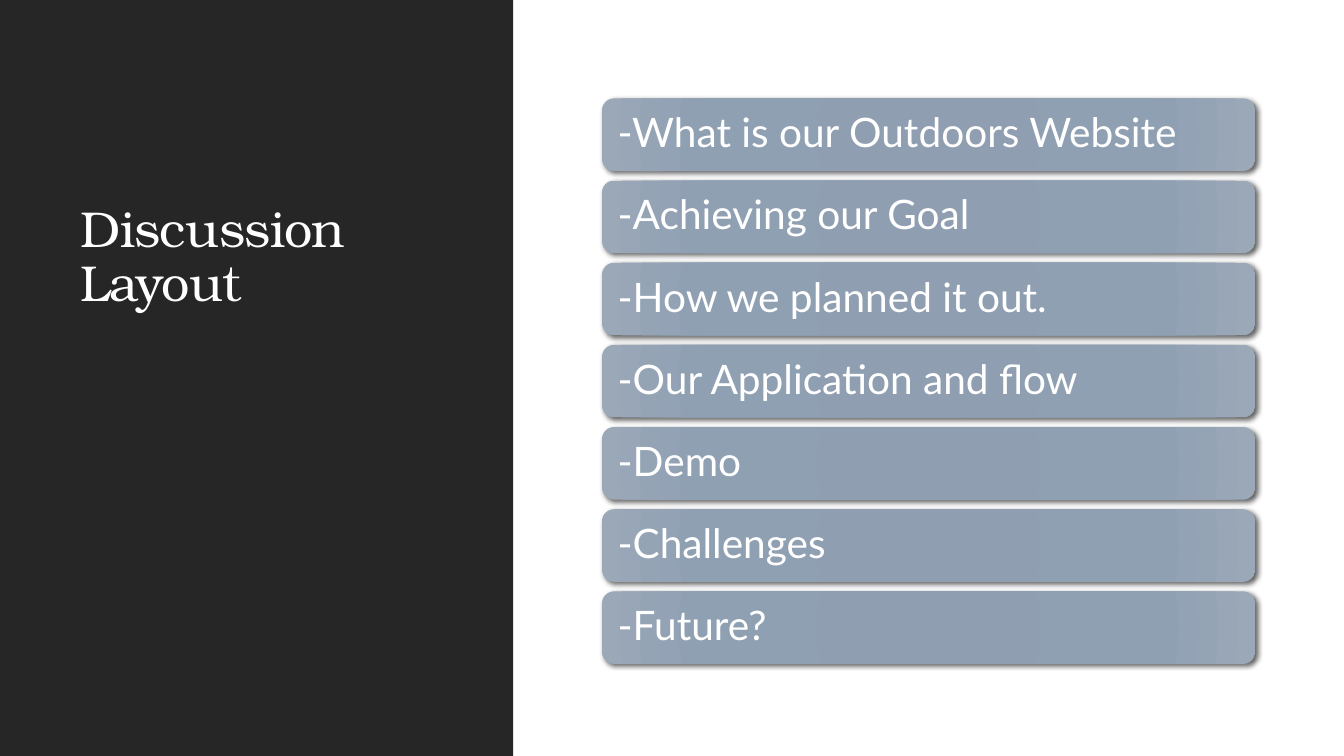
from lxml.etree import SubElement
from pptx import Presentation
from pptx.dml.color import RGBColor
from pptx.enum.shapes import MSO_SHAPE
from pptx.enum.text import MSO_ANCHOR, PP_ALIGN
from pptx.oxml import parse_xml
from pptx.oxml.ns import nsdecls, qn
from pptx.util import Pt

WHITE = RGBColor(0xFF, 0xFF, 0xFF)
CHARCOAL = RGBColor(0x26, 0x26, 0x26)
BLACK = RGBColor(0x00, 0x00, 0x00)
BAR_STOPS = [
    (0, RGBColor(0x8D, 0x9C, 0xAE)),
    (34, RGBColor(0x8F, 0x9E, 0xB0)),
    (70, RGBColor(0x90, 0xA0, 0xB3)),
    (100, RGBColor(0x9A, 0xA8, 0xB8)),
]
TOPICS = [
    "-What is our Outdoors Website",
    "-Achieving our Goal",
    "-How we planned it out.",
    "-Our Application and flow",
    "-Demo",
    "-Challenges",
    "-Future?",
]


def write_text(shape, text, font_name, size):
    frame = shape.text_frame
    frame.word_wrap = True
    frame.text = text
    para = frame.paragraphs[0]
    para.alignment = PP_ALIGN.LEFT
    para.line_spacing = 0.9
    span = para.runs[0]
    span.font.name = font_name
    span.font.size = Pt(size)
    span.font.color.rgb = WHITE
    return span


def fill_radial(shape, stops):
    shape.fill.background()
    stop_list = "".join(
        f'<a:gs pos="{position * 1000}"><a:srgbClr val="{color}"/></a:gs>'
        for position, color in stops
    )
    gradient = parse_xml(
        f'<a:gradFill {nsdecls("a")} rotWithShape="1"><a:gsLst>{stop_list}</a:gsLst>'
        '<a:path path="circle"><a:fillToRect l="100000" t="100000" r="100000" b="100000"/>'
        "</a:path></a:gradFill>"
    )
    properties = shape._element.spPr
    properties.replace(properties.find(qn("a:noFill")), gradient)


def add_soft_shadow(shape):
    shape.shadow.inherit = False
    effects = shape._element.spPr.find(qn("a:effectLst"))
    shadow = SubElement(
        effects, qn("a:outerShdw"), blurRad=str(Pt(3.5)), dist=str(Pt(2)),
        dir="2700000", algn="tl", rotWithShape="0",
    )
    color = SubElement(shadow, qn("a:srgbClr"), val=str(BLACK))
    SubElement(color, qn("a:alpha"), val="60000")


def add_title_panel(page, left, top, width, height):
    panel = page.shapes.add_shape(
        MSO_SHAPE.RECTANGLE, Pt(left), Pt(top), Pt(width), Pt(height)
    )
    panel.shadow.inherit = False
    panel.fill.solid()
    panel.fill.fore_color.rgb = CHARCOAL
    panel.line.fill.background()
    title = page.shapes.add_textbox(
        Pt(left + 50.4), Pt(top + 62), Pt(277), Pt(165)
    )
    title.text_frame.vertical_anchor = MSO_ANCHOR.BOTTOM
    span = write_text(title, "Discussion Layout", "TeX Gyre Bonum", 36)
    span._r.get_or_add_rPr().set("spc", "-50")


def add_topic_list(page, left, top, width, height, topics):
    gap = 6.8
    bar_height = (height - gap * (len(topics) - 1)) / len(topics)
    for index, topic in enumerate(topics):
        bar = page.shapes.add_shape(
            MSO_SHAPE.ROUNDED_RECTANGLE, Pt(left),
            Pt(top + index * (bar_height + gap)), Pt(width), Pt(bar_height),
        )
        bar.line.fill.background()
        fill_radial(bar, BAR_STOPS)
        add_soft_shadow(bar)
        frame = bar.text_frame
        frame.margin_left = frame.margin_right = Pt(8.64)
        frame.margin_top = frame.margin_bottom = Pt(8.64)
        frame.vertical_anchor = MSO_ANCHOR.MIDDLE
        write_text(bar, topic, "Lato", 29)


deck = Presentation()
deck.slide_width, deck.slide_height = Pt(960), Pt(540)
page = deck.slides.add_slide(deck.slide_layouts[6])
add_title_panel(page, 0, 0, 366.5, 540)
add_topic_list(page, 430, 70.3, 466.6, 404, TOPICS)
deck.save("out.pptx")
